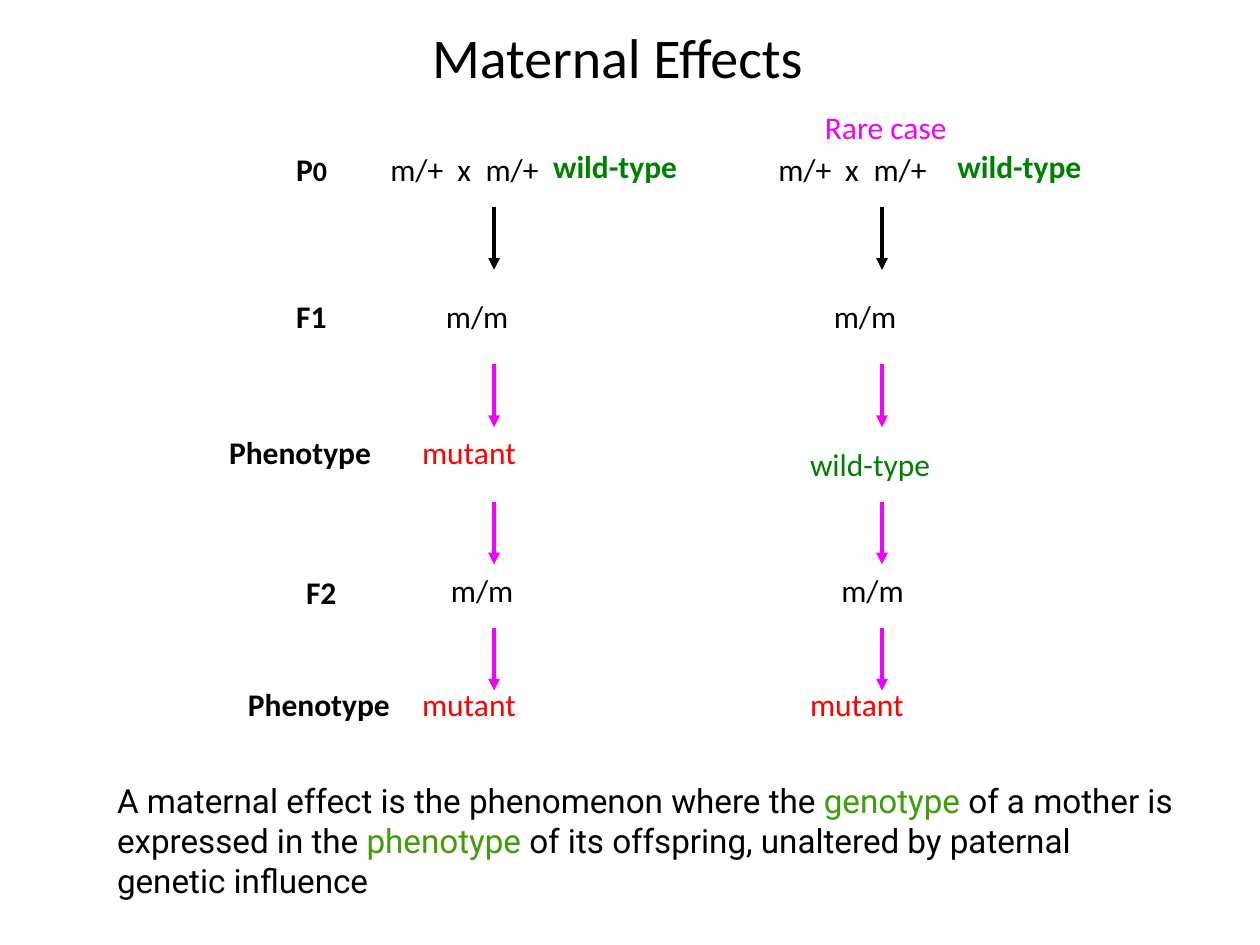
from lxml.etree import SubElement
from pptx import Presentation
from pptx.dml.color import RGBColor
from pptx.enum.shapes import MSO_CONNECTOR
from pptx.enum.text import MSO_AUTO_SIZE
from pptx.oxml.ns import qn
from pptx.util import Cm, Pt

THEME = {
    "font": "Calibri", "definition_font": "Roboto",
    "title": 32, "body": 18, "subscript": 16, "definition": 19,
    "black": "000000", "magenta": "F200FF", "red": "FF0000",
    "green": "008000", "term": "409C08", "arrow_width": 2.25,
}

TITLE = "Maternal Effects"
CROSS = "m/+\tx\tm/+"
GENERATIONS = [
    ([("P", "body"), ("0", "subscript")], 5.72, 2.9, 1.14),
    ([("F1", "body")], 5.72, 5.87, 1.14),
    ([("Phenotype", "body")], 4.37, 8.61, 3.38),
    ([("F2", "body")], 5.92, 11.43, 1.14),
    ([("Phenotype", "body")], 4.75, 13.69, 3.38),
]
PARENTS = ("wild-type", "green")
USUAL = {
    "axis": 9.96, "parents_left": 10.9, "parents_top": 2.84,
    "f1_phenotype": ("mutant", "red", 8.61), "f2_shift": -1.12,
}
RARE = {
    "axis": 17.78, "parents_left": 19.05, "parents_top": 2.84,
    "f1_phenotype": ("wild-type", "green", 8.84), "f2_shift": -1.07,
}
ARROWS = [(4.17, "black"), (7.34, "magenta"), (10.11, "magenta"), (12.65, "magenta")]
ARROW_LENGTH = 1.27
CROSS_TABS = (1.35, 1.92)
DEFINITION = [
    ("A maternal effect is the phenomenon where the ", "black"),
    ("genotype", "term"),
    (" of a mother is expressed in the ", "black"),
    ("phenotype", "term"),
    (" of its offspring, unaltered by paternal genetic influence", "black"),
]


def color(name):
    return RGBColor.from_string(THEME[name])


def add_paragraph(slide, left, top, width, height=1.02, wrap=True):
    frame = slide.shapes.add_textbox(Cm(left), Cm(top), Cm(width), Cm(height)).text_frame
    frame.word_wrap = wrap
    frame.auto_size = MSO_AUTO_SIZE.SHAPE_TO_FIT_TEXT
    return frame.paragraphs[0]


def style(paragraph, size="body", ink="black", bold=False, font="font"):
    paragraph.font.name = THEME[font]
    paragraph.font.size = Pt(THEME[size])
    paragraph.font.bold = bold
    if ink:
        paragraph.font.color.rgb = color(ink)


def add_label(slide, text, left, top, width, ink="black", size="body",
              bold=False, wrap=True, tabs=()):
    paragraph = add_paragraph(slide, left, top, width, wrap=wrap)
    paragraph.text = text
    if tabs:
        stops = SubElement(paragraph._p.get_or_add_pPr(), qn("a:tabLst"))
        for position in tabs:
            SubElement(stops, qn("a:tab"), pos=str(Cm(position)), algn="l")
    style(paragraph, size, ink, bold)


def add_arrow(slide, axis, top, ink):
    arrow = slide.shapes.add_connector(
        MSO_CONNECTOR.STRAIGHT, Cm(axis), Cm(top), Cm(axis), Cm(top + ARROW_LENGTH))
    arrow.line.color.rgb = color(ink)
    arrow.line.width = Pt(THEME["arrow_width"])
    SubElement(arrow.line._get_or_add_ln(), qn("a:tailEnd"), type="triangle")
    SubElement(arrow._element.spPr, qn("a:effectLst"))


def add_lineage(slide, lineage):
    axis = lineage["axis"]
    parents, parents_ink = PARENTS
    phenotype, phenotype_ink, phenotype_top = lineage["f1_phenotype"]
    add_label(slide, CROSS, axis - 2.34, 2.9, 4.65, tabs=CROSS_TABS)
    add_label(slide, parents, lineage["parents_left"], lineage["parents_top"], 4.01,
              parents_ink, bold=True)
    add_label(slide, "m/m", axis - 1.22, 5.87, 2.49)
    add_label(slide, phenotype, axis - 1.7, phenotype_top, 4.01, phenotype_ink)
    add_label(slide, "m/m", axis + lineage["f2_shift"], 11.38, 2.49)
    add_label(slide, "mutant", axis - 1.7, 13.69, 2.44, "red", wrap=False)
    for top, ink in ARROWS:
        add_arrow(slide, axis, top, ink)


def main():
    deck = Presentation()
    deck.slide_width, deck.slide_height = Cm(25.4), Cm(19.05)
    slide = deck.slides.add_slide(deck.slide_layouts[6])

    add_label(slide, TITLE, 8.46, 0.33, 8.64, size="title")
    add_label(slide, "Rare case", 16.38, 2.06, 3.15, "magenta", wrap=False)
    for parts, left, top, width in GENERATIONS:
        generation = add_paragraph(slide, left, top, width, wrap=False)
        style(generation, bold=True)
        for text, size in parts:
            run = generation.add_run()
            run.text = text
            if size != "body":
                run.font.size = Pt(THEME[size])
    for lineage in (USUAL, RARE):
        add_lineage(slide, lineage)

    definition = add_paragraph(slide, 2.11, 15.6, 22.02, 2.69)
    style(definition, "definition", None, font="definition_font")
    for text, ink in DEFINITION:
        run = definition.add_run()
        run.text = text
        run.font.color.rgb = color(ink)

    deck.save("out.pptx")


if __name__ == "__main__":
    main()
